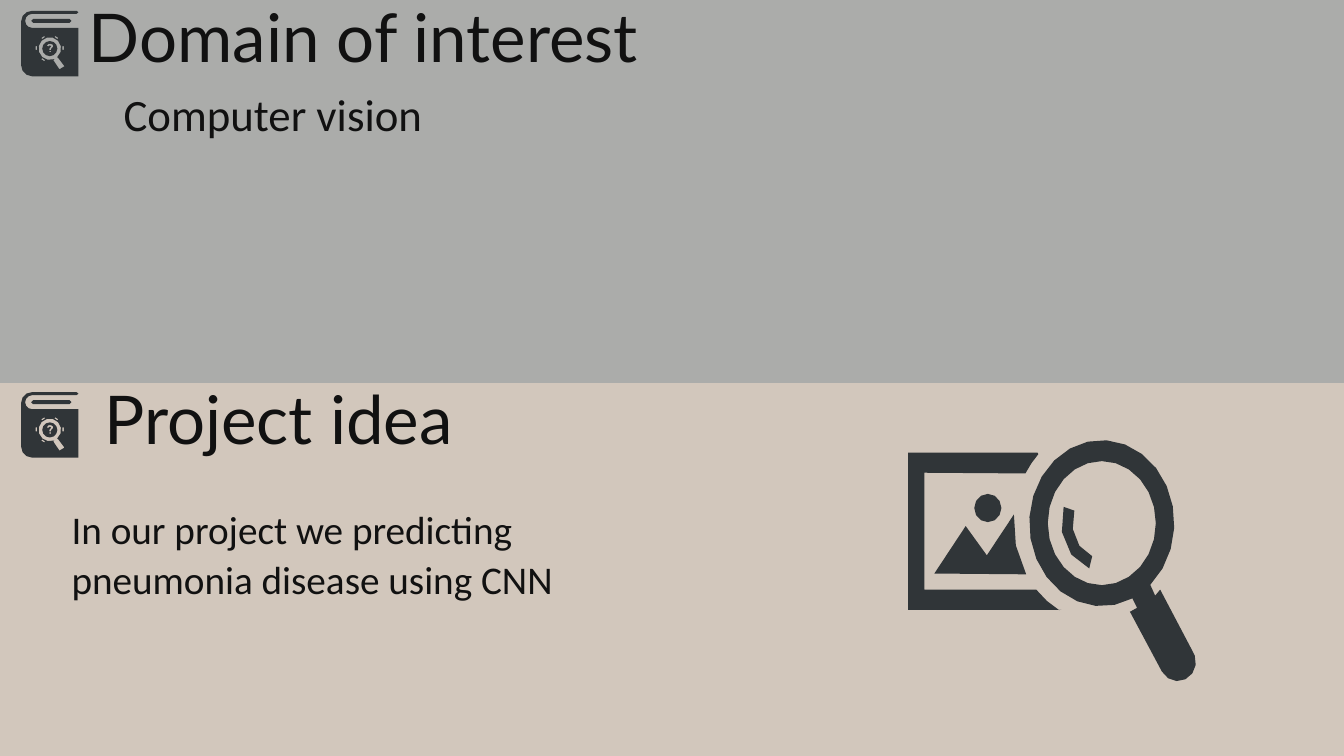
"""Build a two-band slide on the domain of interest and the project idea."""
from math import cos, radians, sin

from pptx import Presentation
from pptx.dml.color import RGBColor
from pptx.enum.shapes import MSO_SHAPE
from pptx.enum.text import MSO_ANCHOR, MSO_AUTO_SIZE, PP_ALIGN
from pptx.util import Pt

DOMAIN = ("Domain of interest", "Computer vision")
PROJECT = ("Project idea",
           ["In our project we predicting", "pneumonia disease using CNN"])

THEME = {
    "upper": "ABACAA", "lower": "D2C7BC", "icon": "303538", "text": "111111",
    "head_font": "Lato", "body_font": "Calibri",
    "head": 48, "topic": 32, "body": 28,
}
WIDTH, HEIGHT, SPLIT = 960, 540, 273.6
BOOK_LEFT, BOOK_INSET = 15.1, 7.2


def arc(cx, cy, rx, ry, start=0, end=360):
    step = 15 if rx > 30 else 30
    steps = max(2, round(abs(end - start) / step))
    angles = [radians(start + (end - start) * i / steps) for i in range(steps + 1)]
    return [(cx + rx * cos(a), cy + ry * sin(a)) for a in angles]


def ring(cx, cy, rx, ry):
    return arc(cx, cy, rx, ry)[:-1]


def book():
    cover = (arc(7.9, 7.6, 7.9, 7.6, 270, 180) + arc(7.9, 38.9, 7.9, 7.9, 180, 90)
             + [(41, 46.8), (41, 12.2)]
             + arc(7.9, 7.2, 5, 5, 90, 270) + [(39.6, 2.2), (41, 1.1), (39.6, 0)])
    pages = [(8.6, 5.8), (34.6, 5.8), (36, 7.2), (34.6, 8.6), (8.6, 8.6), (7.2, 7.2)]
    lens = arc(20.5, 27, 8.1, 8.1, 70, 409) + [
        (26.6, 33.8), (31, 39.6), (27.4, 41.8), (23, 35.3), (23.8, 34.6)]
    glass = ring(20.5, 27, 5.4, 5.4)
    hook = [(18.2, 25.2), (19.4, 23.8), (20.9, 23.5), (22.6, 24.2), (23, 25.6),
            (21.6, 27), (21.4, 28.1), (20.2, 28.1), (20.2, 27), (21.4, 25.4),
            (20.6, 24.7), (19.6, 25.4)]
    dot = [(20.2, 28.8), (21.4, 28.8), (21.4, 29.6), (20.2, 29.6)]
    side = [(29.5, 25.2), (30.6, 25.2), (30.6, 28), (29.5, 28)]
    slant = [(24.5, 18), (26.6, 19.4), (25.9, 20.2), (23.8, 18.7)]
    ticks = [side, [(41 - x, y) for x, y in side], slant,
             [(41 - x, y) for x, y in slant], [(41 - x, 54 - y) for x, y in slant]]
    return [cover, pages, lens, glass, hook, dot] + ticks


def magnifier():
    cx, cy = 787, 373.7
    lens = (arc(cx, cy, 51.8, 59.3, 65, 408)
            + [(825.1, 425.5), (828.7, 421.2), (851.8, 465.1)]
            + arc(841.2, 473, 13, 13.5, -20, 150)
            + [(807.1, 437), (812.2, 434.2)])
    glass = ring(cx, cy, 38.6, 44.3)
    glint = arc(cx, cy, 29, 34, 200, 108) + arc(cx, cy, 21, 25, 109, 201)
    frame = ([(648.7, 323.3), (648.7, 435.6), (758.2, 435.6)]
             + arc(cx, cy, 63, 71, 119, 138)
             + [(660.2, 421.2), (660.2, 337.7)]
             + arc(cx, cy, 63, 71, 210, 224) + [(741, 323.3)])
    hills = [(667.4, 409.7), (689.8, 375.8), (704.9, 396.7)] + arc(cx, cy, 63, 71, 185, 149)
    sun = ring(705.6, 362.9, 9.7, 10.1)
    return [lens, glass, glint, frame, hills, sun]


def paint(shape, color):
    shape.shadow.inherit = False
    shape.fill.solid()
    shape.fill.fore_color.rgb = RGBColor.from_string(color)
    shape.line.fill.background()


def add_band(s, top, bottom, color):
    band = s.shapes.add_shape(MSO_SHAPE.RECTANGLE, 0, Pt(top), Pt(WIDTH), Pt(bottom - top))
    paint(band, color)


def add_icon(s, contours, left=0, top=0):
    outlines = [[(Pt(left + x), Pt(top + y)) for x, y in c] for c in contours]
    builder = s.shapes.build_freeform(*outlines[0][0])
    for i, points in enumerate(outlines):
        if i:
            builder.move_to(*points[0])
        builder.add_line_segments(points[1:], close=True)
    paint(builder.convert_to_shape(), THEME["icon"])


def put_text(sp, lines, *, box, size, font, spacing, gap=0, align=PP_ALIGN.CENTER):
    sp.left, sp.top, sp.width, sp.height = (Pt(v) for v in box)
    tf = sp.text_frame
    tf.word_wrap = True
    tf.auto_size = MSO_AUTO_SIZE.NONE
    tf.vertical_anchor = MSO_ANCHOR.TOP
    for i, line in enumerate(lines):
        p = tf.add_paragraph() if i else tf.paragraphs[0]
        p.alignment = align
        p.line_spacing = Pt(spacing)
        p.space_before = Pt(gap if i else 0)
        r = p.add_run()
        r.text = line
        r.font.size = Pt(size)
        r.font.name = font
        r.font.color.rgb = RGBColor.from_string(THEME["text"])


def add_text(s, lines, **fmt):
    put_text(s.shapes.add_textbox(0, 0, 0, 0), lines, **fmt)


def main():
    prs = Presentation()
    prs.slide_width, prs.slide_height = Pt(WIDTH), Pt(HEIGHT)
    s = prs.slides.add_slide(prs.slide_layouts[5])
    add_band(s, SPLIT, HEIGHT, THEME["lower"])
    add_band(s, 0, SPLIT, THEME["upper"])
    for band_top in (0.5, SPLIT - 0.7):
        add_icon(s, book(), BOOK_LEFT, band_top + BOOK_INSET)
    add_icon(s, magnifier())

    head = {"size": THEME["head"], "font": THEME["head_font"], "spacing": 15}
    body = {"font": THEME["body_font"], "spacing": 18}
    title = s.shapes.title
    s.shapes._spTree.append(title._element)
    put_text(title, [DOMAIN[0]], box=(49.6, 36, 420, 29), **head)
    add_text(s, [DOMAIN[1]], box=(45, 78.5, 300, 30), size=THEME["topic"], **body)
    add_text(s, [PROJECT[0]], box=(49, 308.5, 300, 44), **head)
    add_text(s, PROJECT[1], box=(44, 373, 500, 65.5), size=THEME["body"],
             gap=18, align=PP_ALIGN.LEFT, **body)
    prs.save("out.pptx")


if __name__ == "__main__":
    main()
